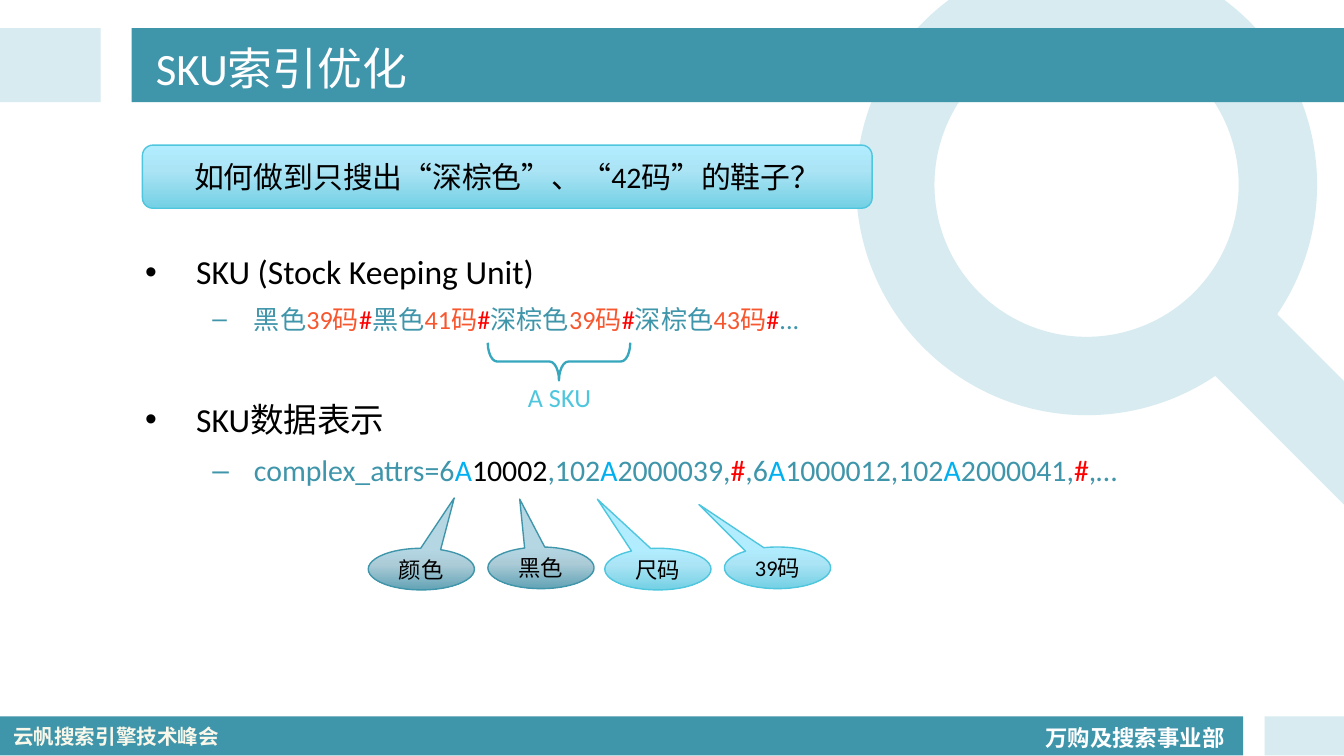
"""Build the SKU index slide with its list, brace and callouts."""
import copy

import pptx
import pptx.util
import pptx.dml.color
import pptx.enum.shapes
import pptx.enum.text
import pptx.oxml.ns
from lxml import etree
from pptx.util import Inches

HUES = {
    "teal": "3F95AA", "pale": "D7EBF0", "white": "FFFFFF", "cream": "F9F7EA",
    "black": "000000", "red": "FF0000", "orange": "F7572F", "blue": "00B0F0",
    "cyan": "4EC6DE", "brace": "37A7BE",
}
FADES = {
    "cyan": ("B2EDFF", "AAE4F5", "74D0E4"),
    "teal": ("B5D7E4", "ABCBD7", "62A3B5"),
}
KIND = pptx.enum.shapes.MSO_SHAPE
ALIGN = pptx.enum.text.PP_ALIGN
MIDDLE = pptx.enum.text.MSO_ANCHOR.MIDDLE
TOP = pptx.enum.text.MSO_ANCHOR.TOP
FIXED = pptx.enum.text.MSO_AUTO_SIZE.NONE
CJK = "Noto Sans CJK SC"


def tint(name):
    """Return the colour called name."""
    return pptx.dml.color.RGBColor.from_string(HUES[name])


def style(item, **form):
    """Set each format value on the item."""
    for key, value in form.items():
        setattr(item, key, value)


def place(item, box):
    """Move and size an item in inches."""
    names = ("left", "top", "width", "height")
    style(item, **dict(zip(names, map(Inches, box))))


def write(para, runs, size, face="Calibri", bold=False):
    """Add coloured runs to a paragraph."""
    for text, hue in runs:
        run = para.add_run()
        run.text = text
        style(run.font, size=pptx.util.Pt(size), name=face, bold=bold)
        run.font.color.rgb = tint(hue)
        east = etree.SubElement(run.font._element, pptx.oxml.ns.qn("a:ea"))
        east.set("typeface", CJK)


def shape(slide, kind, box, fill=None, turn=0, adjust=()):
    """Add a preset shape with a plain fill and no line."""
    item = slide.shapes.add_shape(kind, *map(Inches, box))
    item.shadow.inherit = False
    item.rotation = turn
    for spot, value in enumerate(adjust):
        item.adjustments[spot] = value
    if fill:
        item.fill.solid()
        item.fill.fore_color.rgb = tint(fill)
    else:
        item.fill.background()
    item.line.fill.background()
    return item


def edge(item, hue, width):
    """Draw the outline of a shape."""
    item.line.color.rgb = tint(hue)
    item.line.width = pptx.util.Pt(width)


def bubble(slide, kind, box, text, size, hue, adjust=()):
    """Add a shaded shape with centred text."""
    item = shape(slide, kind, box, adjust=adjust)
    item.fill.gradient()
    item.fill.gradient_angle = 270
    stops = item._element.spPr.find(".//" + pptx.oxml.ns.qn("a:gsLst"))
    stops.insert(1, copy.deepcopy(stops[0]))
    for stop, spot, code in zip(item.fill.gradient_stops, (0, 0.4, 1), FADES[hue]):
        stop.position = spot
        stop.color.rgb = pptx.dml.color.RGBColor.from_string(code)
    edge(item, hue, 0.75)
    style(item.text_frame, word_wrap=True, vertical_anchor=MIDDLE)
    para = item.text_frame.paragraphs[0]
    para.alignment = ALIGN.CENTER
    write(para, [(text, "black")], size)


def label(slide, box, text, hue, size, space=1.0, **form):
    """Add a text box with one line."""
    frame = slide.shapes.add_textbox(*map(Inches, box)).text_frame
    frame.word_wrap = True
    para = frame.paragraphs[0]
    para.line_spacing = space
    write(para, [(text, hue)], size, **form)


def frame_art(slide):
    """Draw the magnifier, the bars and the footer."""
    shape(slide, KIND.DONUT, (6.37, -0.34, 3.43, 3.43), "pale", adjust=[0.17])
    shape(slide, KIND.ROUNDED_RECTANGLE, (8.66, 2.7, 2.14, 0.65), "pale", 45, [0.5])
    for box, hue in (
        ((0, 5.33, 9.25, 0.29), "teal"), ((9.41, 5.33, 0.59, 0.29), "pale"),
        ((0, 0.21, 0.75, 0.55), "pale"), ((0.98, 0.21, 9.02, 0.55), "teal"),
    ):
        shape(slide, KIND.RECTANGLE, box, hue)
    label(slide, (7.68, 5.3, 1.55, 0.33), "万购及搜索事业部", "white", 12, 1.2, bold=True)
    label(slide, (0, 5.34, 1.77, 0.29), "云帆搜索引擎技术峰会", "cream", 11,
          face=CJK, bold=True)


def head(slide):
    """Fill the title above the bar."""
    title = slide.shapes.title
    slide.shapes._spTree.append(title._element)
    place(title, (1.06, 0.23, 8.44, 0.54))
    style(title.text_frame, auto_size=FIXED, vertical_anchor=MIDDLE)
    para = title.text_frame.paragraphs[0]
    para.alignment = ALIGN.LEFT
    write(para, [("SKU索引优化", "white")], 24)


def points(slide):
    """Fill the two-level list."""
    goods = [("黑色", 39), ("黑色", 41), ("深棕色", 39), ("深棕色", 43)]
    units = [run for name, size in goods for run in (
        (name, "teal"), (f"{size}码", "orange"), ("#", "red"))]
    code = [
        ("complex_attrs=6", "teal"), ("A", "blue"), ("10002", "black"),
        (",102", "teal"), ("A", "blue"), ("2000039,", "teal"), ("#", "red"),
        (",6", "teal"), ("A", "blue"), ("1000012,102", "teal"), ("A", "blue"),
        ("2000041,", "teal"), ("#", "red"), (",…", "teal"),
    ]
    rows = (
        (0, 18, 0, [("SKU (Stock Keeping Unit)", "black")]),
        (1, 14, 2.8, units + [("...", "teal")]),
        (0, 18, 30, [("SKU数据表示", "black")]),
        (1, 16, 3.2, code),
    )
    body = slide.placeholders[1]
    slide.shapes._spTree.append(body._element)
    place(body, (0.98, 0.99, 8.52, 4.1))
    frame = body.text_frame
    style(frame, auto_size=FIXED, vertical_anchor=TOP, margin_top=Inches(0.82))
    for spot, (level, size, gap, runs) in enumerate(rows):
        para = frame.add_paragraph() if spot else frame.paragraphs[0]
        style(para, level=level, line_spacing=1.2, space_before=pptx.util.Pt(gap))
        left, hang = ((0.38, -0.38), (0.81, -0.31))[level]
        props = para._p.get_or_add_pPr()
        props.set("marL", str(Inches(left)))
        props.set("indent", str(Inches(hang)))
        write(para, runs, size)


def notes(slide):
    """Add the question, the brace and the callouts."""
    bubble(slide, KIND.ROUNDED_RECTANGLE, (1.06, 1.08, 5.43, 0.47),
           "如何做到只搜出“深棕色”、“42码”的鞋子？", 16, "cyan")
    brace = shape(slide, KIND.LEFT_BRACE, (4.02, 2.16, 0.28, 1.06),
                  turn=270, adjust=(0.25, 0.5))
    edge(brace, "brace", 1.25)
    label(slide, (3.83, 2.79, 0.69, 0.34), "A SKU", "cyan", 14)
    for left, top, text, hue, tip in (
        (2.74, 4.08, "颜色", "teal", (0.31, -1.71)),
        (3.63, 4.07, "黑色", "teal", (-0.2, -1.65)),
        (4.5, 4.08, "尺码", "cyan", (-0.57, -1.68)),
        (5.39, 4.07, "39码", "cyan", (-0.74, -1.52)),
    ):
        bubble(slide, KIND.OVAL_CALLOUT, (left, top, 0.79, 0.31), text, 12, hue, tip)


def main():
    """Build and save the slide."""
    deck = pptx.Presentation()
    style(deck, slide_width=Inches(10), slide_height=Inches(10 * 9 / 16))
    slide = deck.slides.add_slide(deck.slide_layouts[1])
    for part in (frame_art, head, points, notes):
        part(slide)
    deck.save("out.pptx")


if __name__ == "__main__":
    main()
